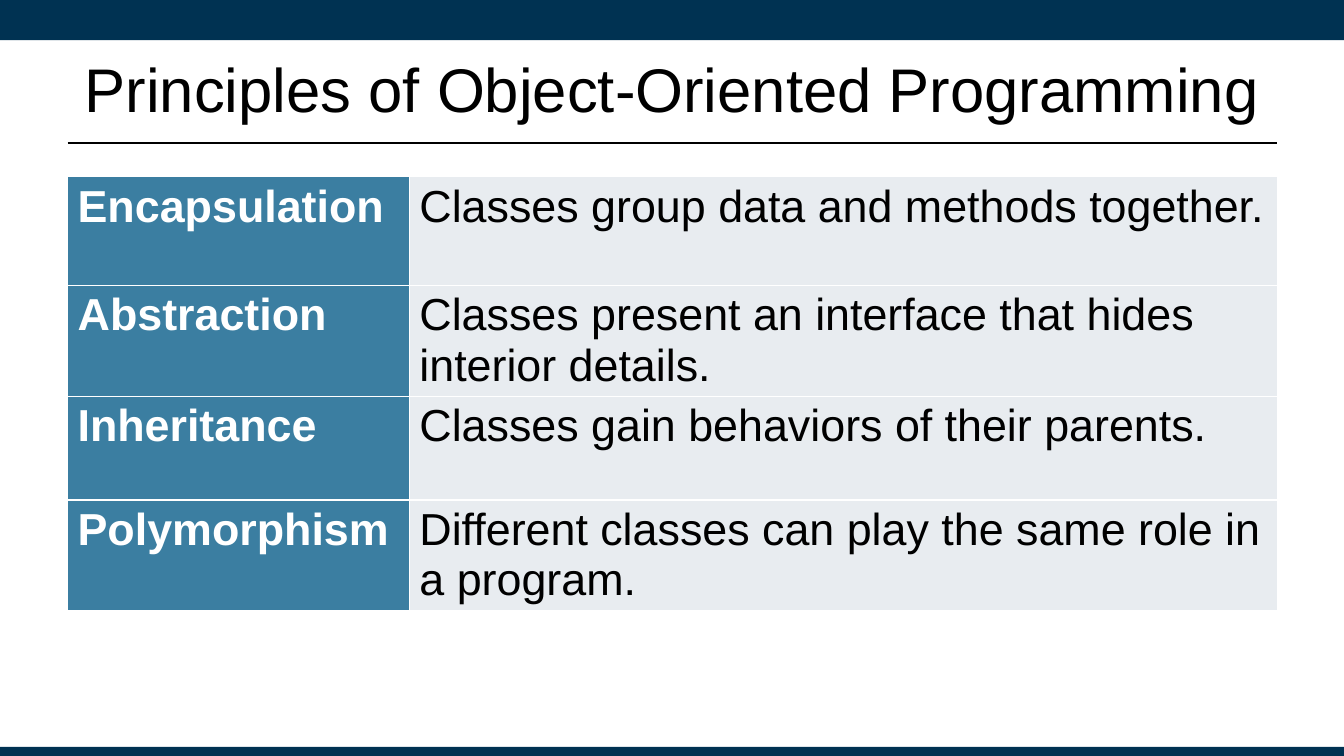
from lxml import etree
from pptx import Presentation
from pptx import util as u
from pptx.dml.color import RGBColor
from pptx.enum import shapes, text
from pptx.oxml import ns

NAVY = RGBColor(0x00, 0x32, 0x52)
BLUE = RGBColor(0x3B, 0x7E, 0xA1)
PALE = RGBColor(0xE8, 0xEC, 0xF0)
BLACK = RGBColor(0x00, 0x00, 0x00)
WHITE = RGBColor(0xFF, 0xFF, 0xFF)

SLIDE_WIDTH = 13.33
LEFT = 0.67
CONTENT_WIDTH = 12
COLUMN_WIDTHS = (3.39, 8.61)
ROW_HEIGHTS = (1.08, 1.1, 1.03, 1.1)
PRINCIPLES = (
    ("Encapsulation", "Classes group data and methods together."),
    ("Abstraction", "Classes present an interface that hides interior details."),
    ("Inheritance", "Classes gain behaviors of their parents."),
    ("Polymorphism", "Different classes can play the same role in a program."),
)


class SlideBuilder:
    font = "Arial"
    title_size = 44
    table_size = 32

    def __init__(self, slide):
        self.slide = slide

    def format_runs(self, paragraph, size, color, bold=False):
        for run in paragraph.runs:
            run.font.name = self.font
            run.font.size = u.Pt(size)
            run.font.bold = bold
            run.font.color.rgb = color

    def bar(self, top, height):
        shape = self.slide.shapes.add_shape(
            shapes.MSO_SHAPE.RECTANGLE,
            0, u.Inches(top), u.Inches(SLIDE_WIDTH), u.Inches(height),
        )
        shape.shadow.inherit = False
        shape.fill.solid()
        shape.fill.fore_color.rgb = NAVY
        shape.line.fill.background()

    def rule(self, top):
        connector = self.slide.shapes.add_connector(
            shapes.MSO_CONNECTOR.STRAIGHT,
            u.Inches(LEFT), u.Inches(top),
            u.Inches(LEFT + CONTENT_WIDTH), u.Inches(top),
        )
        connector.line.color.rgb = BLACK
        connector.line.width = u.Pt(1.25)
        etree.SubElement(connector._element.spPr, ns.qn("a:effectLst"))

    def title(self, words, top, height):
        shape = self.slide.shapes.title
        shape.left, shape.top = u.Inches(LEFT), u.Inches(top)
        shape.width, shape.height = u.Inches(CONTENT_WIDTH), u.Inches(height)
        frame = shape.text_frame
        frame.text = words
        frame.word_wrap = True
        frame.auto_size = text.MSO_AUTO_SIZE.NONE
        frame.vertical_anchor = text.MSO_ANCHOR.MIDDLE
        paragraph = frame.paragraphs[0]
        paragraph.alignment = text.PP_ALIGN.CENTER
        self.format_runs(paragraph, self.title_size, BLACK)

    def borders(self, cell):
        properties = cell._tc.get_or_add_tcPr()
        for side in ("lnL", "lnR", "lnT", "lnB"):
            line = etree.SubElement(properties, ns.qn(f"a:{side}"), w=str(u.Pt(1)))
            fill = etree.SubElement(line, ns.qn("a:solidFill"))
            etree.SubElement(fill, ns.qn("a:srgbClr"), val=str(WHITE))

    def cell(self, cell, words, fill, color, bold):
        self.borders(cell)
        cell.fill.solid()
        cell.fill.fore_color.rgb = fill
        cell.text_frame.text = words
        paragraph = cell.text_frame.paragraphs[0]
        paragraph.space_before = u.Pt(6)
        self.format_runs(paragraph, self.table_size, color, bold)

    def table(self, rows, top):
        table = self.slide.shapes.add_table(
            len(rows), len(COLUMN_WIDTHS), u.Inches(LEFT), u.Inches(top),
            u.Inches(CONTENT_WIDTH), u.Inches(sum(ROW_HEIGHTS)),
        ).table
        table.first_row = False
        table.horz_banding = False
        for column, width in zip(table.columns, COLUMN_WIDTHS):
            column.width = u.Inches(width)
        for row, height, (principle, meaning) in zip(table.rows, ROW_HEIGHTS, rows):
            row.height = u.Inches(height)
            self.cell(row.cells[0], principle, BLUE, WHITE, True)
            self.cell(row.cells[1], meaning, PALE, BLACK, False)


def main():
    presentation = Presentation()
    presentation.slide_width = u.Inches(SLIDE_WIDTH)
    presentation.slide_height = u.Inches(7.5)
    slide = presentation.slides.add_slide(presentation.slide_layouts[5])
    builder = SlideBuilder(slide)
    builder.bar(0, 0.4)
    builder.bar(7.41, 0.09)
    builder.rule(1.42)
    builder.title("Principles of Object-Oriented Programming", 0.25, 1.25)
    builder.table(PRINCIPLES, 1.75)
    presentation.save("out.pptx")


if __name__ == "__main__":
    main()
